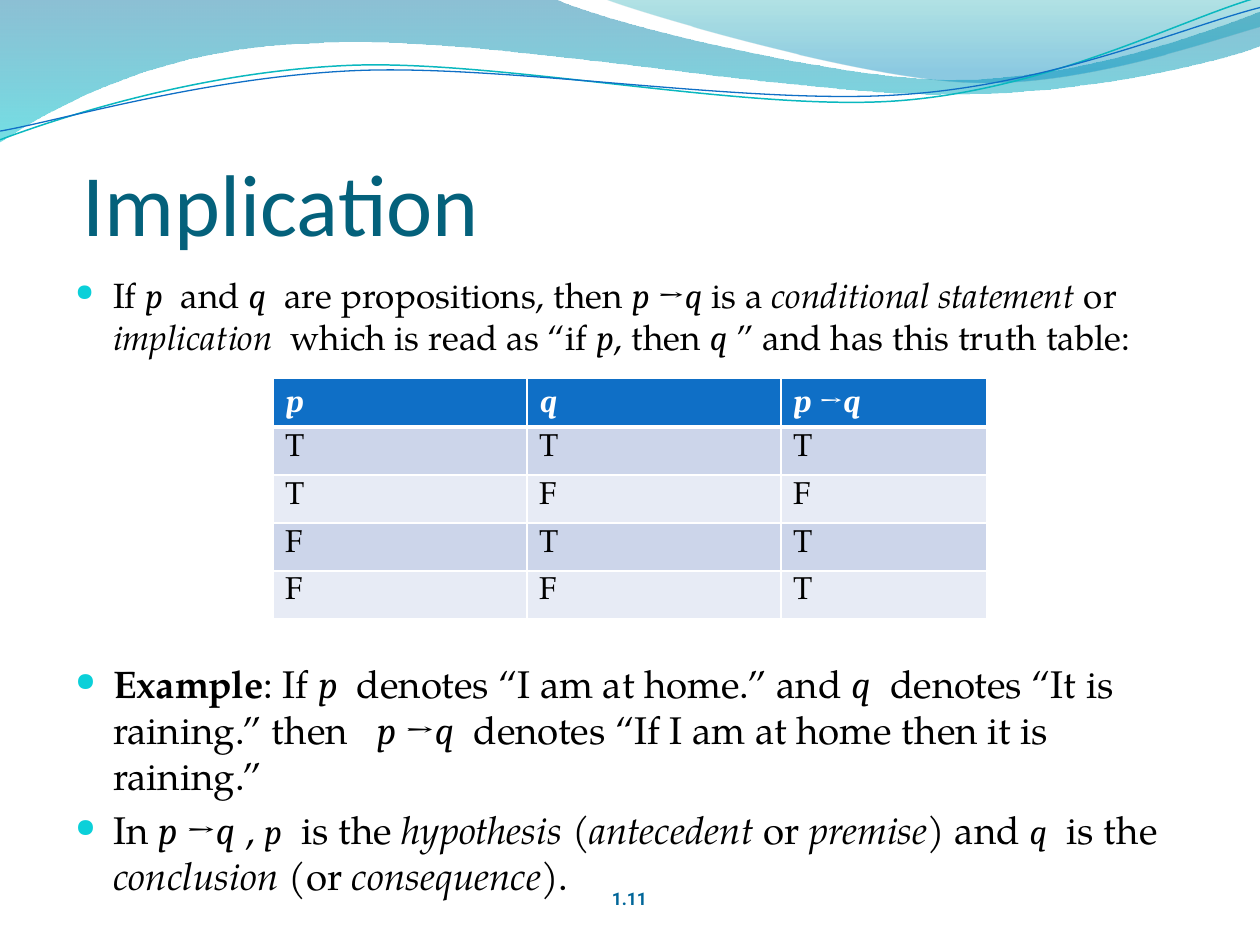
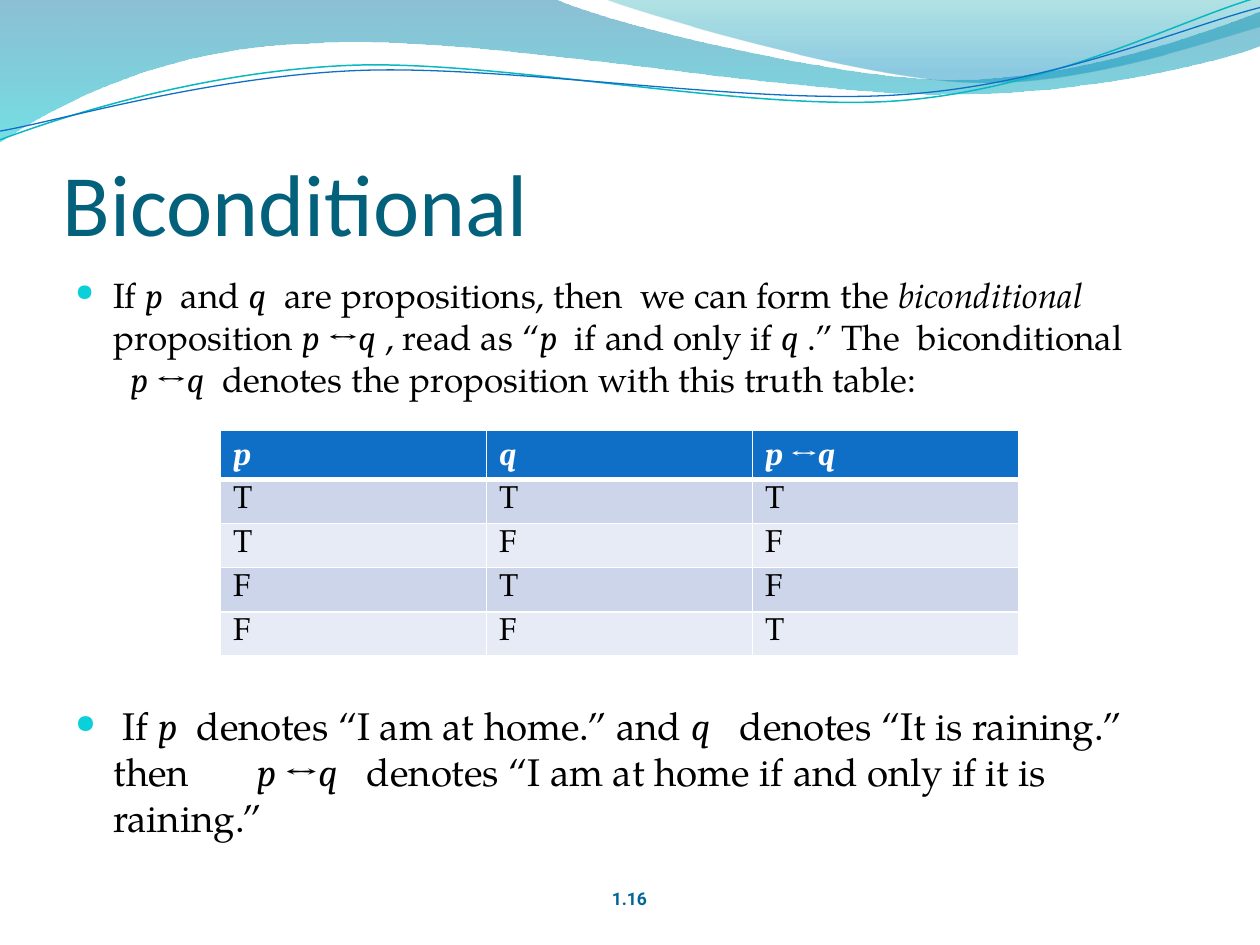
from itertools import islice

from lxml import etree
from pptx import Presentation
from pptx.dml.color import RGBColor
from pptx.enum import text
from pptx.oxml import ns
from pptx.util import Pt

COLOURS = {"title": "04617B", "number": "006699", "body": "000000", "bullet": "0BD0D9",
           "header": "0F6FC6", "odd": "CCD5EA", "even": "E7EBF5", "white": "FFFFFF"}
SERIF, MATH = "TeX Gyre Pagella", "Cambria"
BULLET_INDENT = 21.6
STYLES = {
    "#": {"name": SERIF},
    "*": {"name": SERIF, "bold": True},
    "_": {"name": SERIF, "italic": True},
    "=": {"name": MATH, "italic": True},
    "-": {"name": MATH, "italic": True, "size": Pt(20)},
    "^": {"name": MATH, "italic": False},
}
BANDS = [
    ([(0, 0), (316.8, -0.7),
      (342.7, 12.2, 478.1, 45.4, 545.8, 45.4), (614.2, 45.4, 689.8, 18.7, 720, 6.5),
      (720.7, 25.9),
      (707.8, 31.7, 626.4, 54.7, 537.1, 54), (447.8, 54, 275, 20.2, 185, 24.5),
      (92.9, 25.9, 33.1, 59.8, -0.7, 81.4)],
     [(0, "0074A1", 45), (1, "00C6CF", 55)]),
    ([(344.9, -0.7), (366.5, 7.9, 491, 44.6, 553.7, 46.8),
      (616.3, 49.7, 691.9, 23, 720, 15.1), (720, 0)],
     [(0, "00A1A9", 30), (0.8, "008BBF", 45)]),
]
WAVE_LINES = [
    ([(0, 79.9), (34.6, 67, 113.8, 41, 199.4, 37.4),
      (284.4, 33.8, 427, 64.1, 513.4, 57.6), (599.8, 51.1, 675.4, 10.8, 718.6, -1.4)],
     "0AB8BF", 0.85),
    ([(0, 74.9), (33.8, 69.1, 118.1, 43.9, 203.8, 40.3),
      (290.2, 36.7, 429.8, 60.5, 516.2, 54), (601.9, 48.2, 677.5, 15.1, 720, 4.3)],
     "0F6FC6", 0.75),
]
SLIDES = [
    {
        "title": " Implication",
        "number": "1.11",
        "bullets": [
            (20, 3.4, "#If |=p|+5|#and |=q|+5|#are propositions, then |=p |^→|=q|# is a "
                      "|_conditional statement |#or |_implication|+5|#which is read as “if "
                      "|=p|#, then |=q|# ” and has this truth table:"),
            (22, 173, "*Example|#: If |=p|+5.5|#denotes “I am at home.” and |=q|+5.5|#denotes "
                      "“It is raining.” then|+11|=p |^→|=q|+5.5|#denotes “If I am at home "
                      "then it is raining.”"),
            (22, 4.2, "#In |=p |^→|=q|# , |-p|+5.5|#is the |_hypothesis|# (|_antecedent|# or "
                      "|_premise|#) and |-q|+5.5|#is the |_conclusion|# (or "
                      "|_consequence|#)."),
        ],
        "table": {"box": (156.2, 216), "columns": [145.1, 145.1, 117.4], "row": 27.4,
                  "operator": "→", "results": "TFTT"},
    },
    {
        "title": "Biconditional",
        "number": "1.16",
        "bullets": [
            (20, 3.4, "#If |=p|+5|#and |=q|+5|#are propositions, then|+5|#we can form the "
                      "|_biconditional |#proposition |=p |^↔|=q|# , read as “|=p|+5|#if and "
                      "only if |=q|# .” The|+5|#biconditional|/|+5|=p |^↔|=q|+5|#denotes "
                      "the proposition with this truth table:"),
            (22, 173, "# If |=p|+5.5|#denotes “I am at home.” and |=q|+11|#denotes “It is "
                      "raining.” then|+33|=p |^↔|=q|+11|#denotes “I am at home if and "
                      "only if it is raining.”"),
        ],
        "table": {"box": (126, 245.9), "columns": [152] * 3, "row": 24,
                  "operator": "↔", "results": "TFFT"},
    },
]


def colour(value):
    return RGBColor.from_string(value)


def apply(target, values):
    for name, value in values.items():
        setattr(target, name, value)


def add_child(parent, tag, **attributes):
    return etree.SubElement(parent, ns.qn(tag), attributes)


def add_run(paragraph, words, hue, **values):
    run = paragraph.add_run()
    run.text = words
    run.font.color.rgb = colour(hue)
    apply(run.font, values)
    return run


def add_text_box(slide, box, **values):
    frame = slide.shapes.add_textbox(*map(Pt, box)).text_frame
    apply(frame, {"word_wrap": True, **values})
    return frame


def add_outline(slide, route, close):
    points = [(Pt(segment[i]), Pt(segment[i + 1]))
              for segment in route for i in range(0, len(segment), 2)]
    builder = slide.shapes.build_freeform(*points[0])
    builder.add_line_segments(points[1:], close=close)
    shape = builder.convert_to_shape()
    shape.shadow.inherit = False
    steps = iter(list(shape._element.spPr.iter(ns.qn("a:lnTo"))))
    for segment in route[1:]:
        group = list(islice(steps, len(segment) // 2))
        if len(group) == 3:
            group[0].tag = ns.qn("a:cubicBezTo")
            for step in group[1:]:
                group[0].append(step[0])
                step.getparent().remove(step)
    return shape


def draw_waves(slide):
    for route, stops in BANDS:
        band = add_outline(slide, route, True)
        band.line.fill.background()
        band.fill.gradient()
        band.fill.gradient_angle = 270
        for stop, (position, hue, _) in zip(band.fill.gradient_stops, stops):
            stop.position = position
            stop.color.rgb = colour(hue)
        hues = band._element.spPr.iter(ns.qn("a:srgbClr"))
        for element, (_, _, opacity) in zip(list(hues), stops):
            add_child(element, "a:alpha", val=str(opacity * 1000))
    for route, hue, width in WAVE_LINES:
        wave = add_outline(slide, route, False)
        wave.fill.background()
        wave.line.color.rgb = colour(hue)
        wave.line.width = Pt(width)


def draw_title(slide, box, words):
    frame = add_text_box(slide, box, margin_left=0, margin_right=0, margin_bottom=0,
                         vertical_anchor=text.MSO_ANCHOR.BOTTOM)
    add_run(frame.paragraphs[0], words, COLOURS["title"], name="Calibri", size=Pt(50))


def draw_number(slide, box, words):
    paragraph = add_text_box(slide, box, word_wrap=False).paragraphs[0]
    paragraph.alignment = text.PP_ALIGN.CENTER
    add_run(paragraph, words, COLOURS["number"], name="Roboto", size=Pt(10), bold=True)


def add_pieces(paragraph, markup, size):
    for piece in markup.split("|"):
        kind, words = piece[0], piece[1:]
        if kind == "/":
            paragraph.add_line_break()
        elif kind == "+":
            gap = add_run(paragraph, " ", COLOURS["body"], name=SERIF, size=Pt(size))
            gap._r.get_or_add_rPr().set("spc", str(round(float(words) * 100)))
        else:
            add_run(paragraph, words, COLOURS["body"], **{"size": Pt(size), **STYLES[kind]})


def draw_bullets(slide, box, bullets):
    frame = add_text_box(slide, box)
    for index, (size, space, markup) in enumerate(bullets):
        paragraph = frame.add_paragraph() if index else frame.paragraphs[0]
        paragraph.space_before = Pt(space)
        properties = paragraph._p.get_or_add_pPr()
        properties.set("marL", str(Pt(BULLET_INDENT)))
        properties.set("indent", str(-Pt(BULLET_INDENT)))
        add_child(add_child(properties, "a:buClr"), "a:srgbClr", val=COLOURS["bullet"])
        add_child(properties, "a:buSzPct", val="67000")
        add_child(properties, "a:buChar", char="●")
        add_pieces(paragraph, markup, size)


def format_cell(cell, hue, top, bottom):
    properties = cell._tc.get_or_add_tcPr()
    for side, width in (("L", 1), ("R", 1), ("T", top), ("B", bottom)):
        border = add_child(properties, f"a:ln{side}", w=str(Pt(width)))
        add_child(add_child(border, "a:solidFill"), "a:srgbClr", val=COLOURS["white"])
    cell.fill.solid()
    cell.fill.fore_color.rgb = colour(hue)


def draw_truth_table(slide, box, columns, row, operator, results):
    rows = [("=p", "=q", f"=p |^{operator}|=q")]
    rows += [(f"#{p}", f"#{q}", f"#{result}")
             for (p, q), result in zip(("TT", "TF", "FT", "FF"), results)]
    size = (sum(columns), row * len(rows))
    table = slide.shapes.add_table(len(rows), len(columns), *map(Pt, box + size)).table
    for column, width in zip(table.columns, columns):
        column.width = Pt(width)
    for r, values in enumerate(rows):
        table.rows[r].height = Pt(row)
        hue = COLOURS["header"] if r == 0 else COLOURS["odd" if r % 2 else "even"]
        for c, markup in enumerate(values):
            cell = table.cell(r, c)
            cell.margin_bottom = Pt(0 if r else 2.8)
            format_cell(cell, hue, 3 if r == 1 else 1, 3 if r == 0 else 1)
            for piece in markup.split("|"):
                add_run(cell.text_frame.paragraphs[0], piece[1:],
                        COLOURS["body" if r else "white"],
                        **{**STYLES[piece[0]], "size": Pt(18), "bold": r == 0})


def draw_slide(presentation, content):
    slide = presentation.slides.add_slide(presentation.slide_layouts[6])
    draw_waves(slide)
    draw_number(slide, (342, 504, 35.3, 19.4), content["number"])
    draw_title(slide, (36, 55.4, 648, 90), content["title"])
    draw_bullets(slide, (36, 152.6, 648, 345.6), content["bullets"])
    draw_truth_table(slide, **content["table"])


def main():
    presentation = Presentation()
    apply(presentation, {"slide_width": Pt(720), "slide_height": Pt(540)})
    for content in SLIDES:
        draw_slide(presentation, content)
    presentation.save("out.pptx")


if __name__ == "__main__":
    main()
